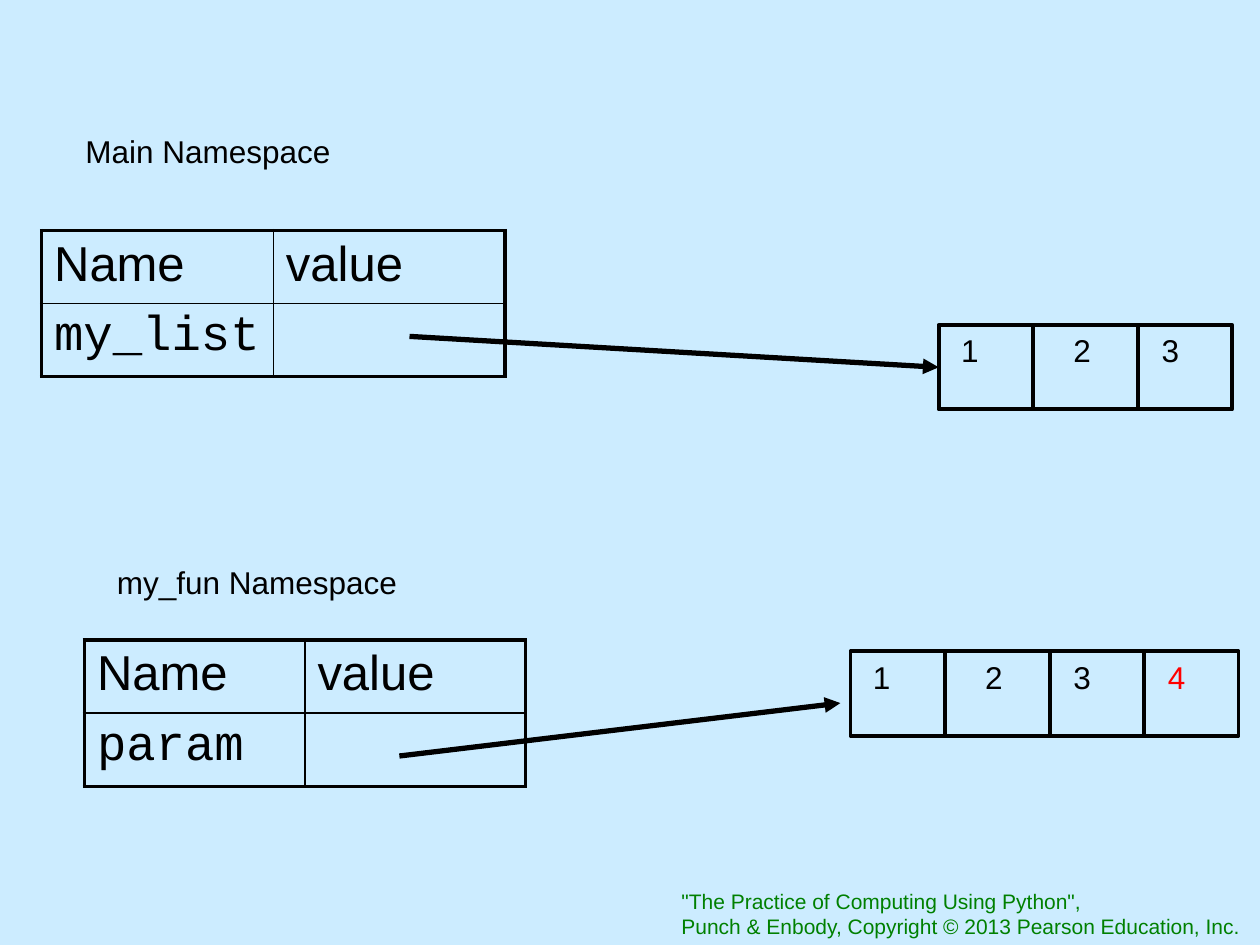
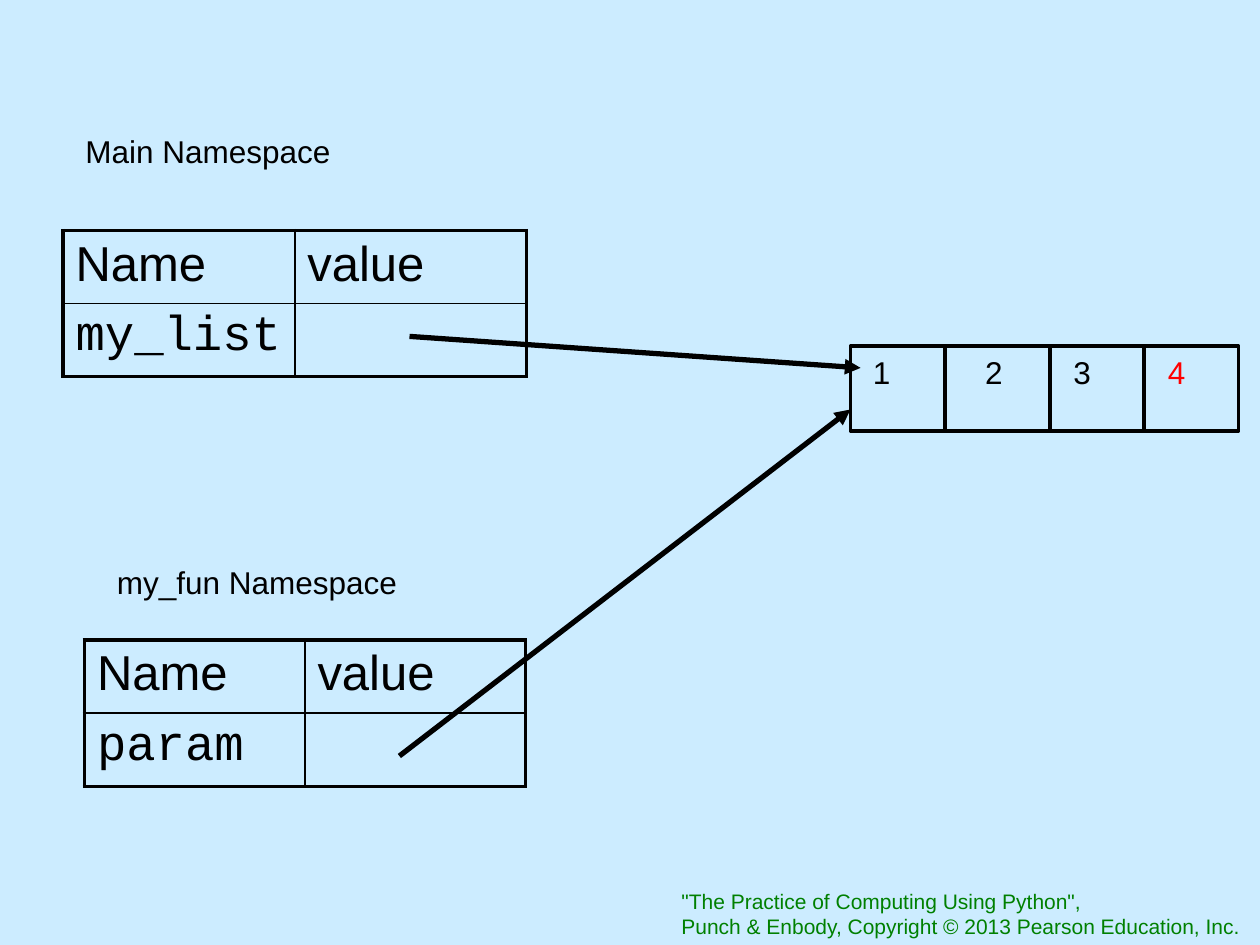
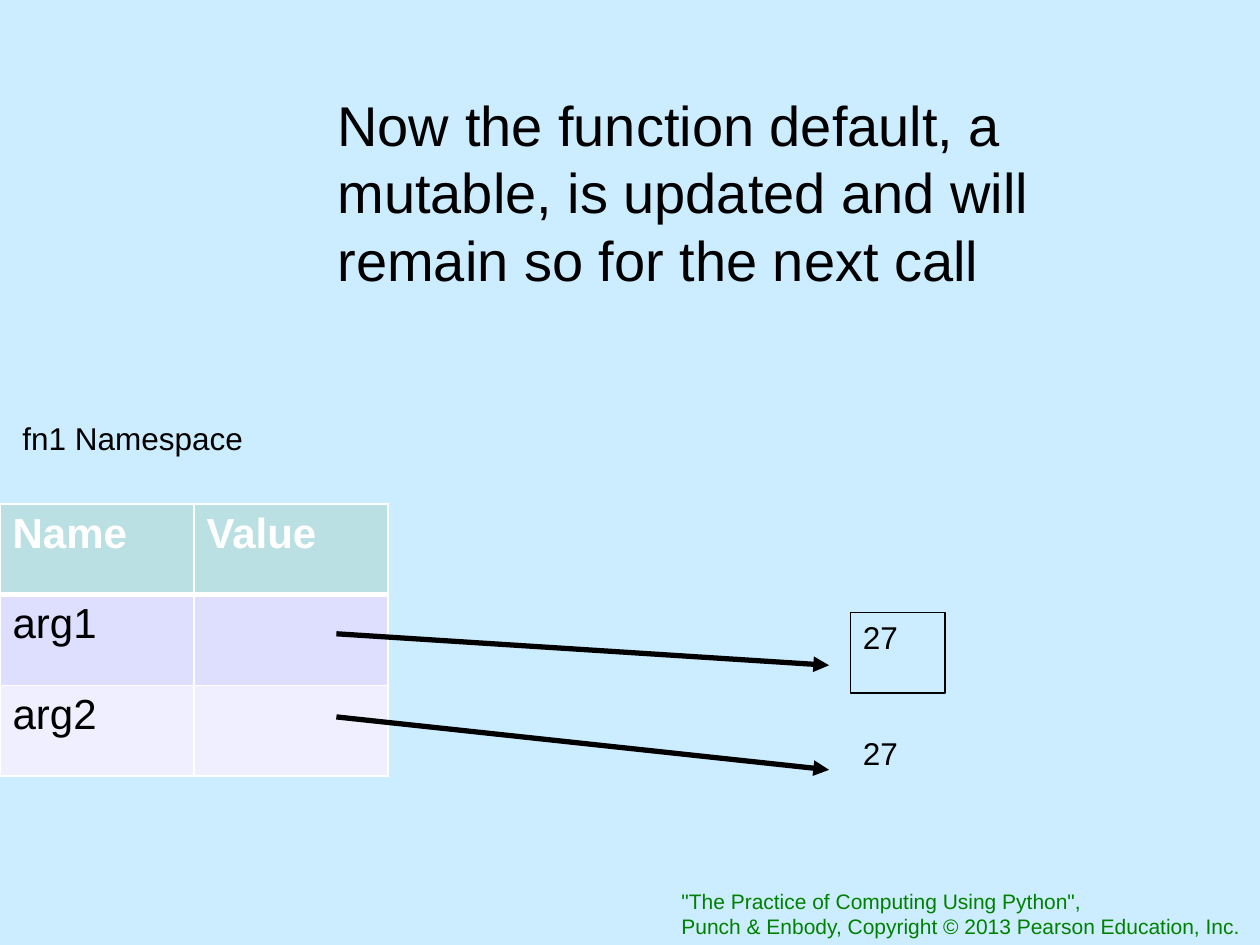
from lxml.etree import SubElement
from pptx import Presentation
from pptx.dml.color import RGBColor
from pptx.enum.shapes import MSO_CONNECTOR, MSO_SHAPE
from pptx.enum.text import MSO_ANCHOR, PP_ALIGN
from pptx.oxml.ns import qn
from pptx.util import Inches, Pt

SKY, BLACK, WHITE, RED, GREEN = "CCECFF", "000000", "FFFFFF", "FF0000", "008000"
HEADER_FILL, ROW_FILLS = "BBE0E3", ("DEDEFF", "EFEFFF")
SANS, MONO = "Arial", "Courier New"

FOOTER = ['"The Practice of Computing Using Python",',
          "Punch & Enbody, Copyright © 2013 Pearson Education, Inc."]

# Offsets from the left end of a list drawing
LIST_EDGES = [0, 0.75, 1.58, 2.33, 3.08]
ITEM_LEFTS = [0.08, 0.97, 1.67, 2.42]
LIST_HEIGHT = 0.67

MAIN_LABEL = ("Main Namespace", 0.58, 1, 3.65)
FUN_LABEL = ("my_fun Namespace", 0.83, 4.42, 2.5)
FUN_TABLE = ("param", 0.67, 5.08, 3.5)

# Namespace: variable, left, top, width. List: items, left, top.
# Arrow: start, end, index of the list it is joined to (or None).
LIST_SLIDES = [
    {"labels": [MAIN_LABEL, FUN_LABEL],
     "namespaces": [("my_list", 0.33, 1.83, 3.68), FUN_TABLE],
     "lists": [("123", 7.45, 2.58), ("1234", 6.75, 5.17)],
     "arrows": [((3.25, 2.67), (7.45, 2.92), 0),
                ((3.17, 6), (6.67, 5.58), None)]},
    {"labels": [MAIN_LABEL, FUN_LABEL],
     "namespaces": [("my_list", 0.5, 1.83, 3.68), FUN_TABLE],
     "lists": [("1234", 6.75, 2.75)],
     "arrows": [((3.25, 2.67), (6.83, 2.92), None),
                ((3.17, 6), (6.75, 3.25), None)]},
]

ARGS = [("Name", "Value"), ("arg1", ""), ("arg2", "")]
ARG_ARROWS = [((2.67, 5.03), (6.58, 5.28)), ((2.67, 5.69), (6.58, 6.11))]
MESSAGE = ("Now the function default, a mutable, is updated "
           "and will remain so for the next call")


def rgb(color):
    return RGBColor.from_string(color)


def write(tf, lines, size=18, color=BLACK, font=SANS, bold=False):
    for i, line in enumerate(lines):
        p = tf.paragraphs[0] if i == 0 else tf.add_paragraph()
        p.alignment = PP_ALIGN.LEFT
        r = p.add_run()
        r.text = line
        r.font.size, r.font.name, r.font.bold = Pt(size), font, bold
        r.font.color.rgb = rgb(color)


def add_text(slide, lines, left, top, width, height, **style):
    sp = slide.shapes.add_textbox(*map(Inches, (left, top, width, height)))
    sp.text_frame.word_wrap = True
    write(sp.text_frame, lines, **style)
    return sp


def add_box(slide, left, top, width, height, line_width):
    sp = slide.shapes.add_shape(MSO_SHAPE.RECTANGLE,
                                *map(Inches, (left, top, width, height)))
    sp.shadow.inherit = False
    sp.fill.background()
    sp.line.color.rgb = rgb(BLACK)
    sp.line.width = Pt(line_width)
    return sp


def add_line(slide, start, end, width):
    line = slide.shapes.add_connector(MSO_CONNECTOR.STRAIGHT,
                                      *map(Inches, start + end))
    line.line.color.rgb = rgb(BLACK)
    line.line.width = Pt(width)
    SubElement(line._element.spPr, qn("a:effectLst"))
    return line


def add_arrow(slide, start, end, target=None):
    arrow = add_line(slide, start, end, 3)
    SubElement(arrow.line._get_or_add_ln(), qn("a:tailEnd"), type="triangle")
    if target is not None:
        arrow.end_connect(target, 1)


def set_borders(cell, color, widths):
    """Widths are in points: left, right, top, bottom."""
    tc_pr = cell._tc.get_or_add_tcPr()
    for side, width in zip("LRTB", widths):
        ln = SubElement(tc_pr, qn(f"a:ln{side}"), w=str(Pt(width)))
        fill = SubElement(ln, qn("a:solidFill"))
        SubElement(fill, qn("a:srgbClr"), val=color)


def add_grid(slide, rows, left, top, width, row_height):
    """Add a table without style and return its cells row by row."""
    frame = slide.shapes.add_table(
        len(rows), len(rows[0]),
        *map(Inches, (left, top, width, row_height * len(rows))))
    table = frame.table
    table.first_row = table.horz_banding = False
    return [[table.cell(i, j) for j in range(len(row))]
            for i, row in enumerate(rows)]


def add_namespace(slide, variable, left, top, width):
    rows = [("Name", "value"), (variable, "")]
    outer, inner = 2.25, 1
    for i, cells in enumerate(add_grid(slide, rows, left, top, width, 0.58)):
        for j, cell in enumerate(cells):
            across = (inner, outer) if j else (outer, inner)
            down = (inner, outer) if i else (outer, inner)
            set_borders(cell, BLACK, across + down)
            cell.fill.background()
            if rows[i][j]:
                write(cell.text_frame, [rows[i][j]], size=28,
                      font=MONO if i else SANS)


def add_arguments(slide):
    for i, cells in enumerate(add_grid(slide, ARGS, 0, 4, 3.08, 0.72)):
        for j, cell in enumerate(cells):
            set_borders(cell, WHITE,
                        (1, 1, 3 if i == 1 else 1, 3 if i == 0 else 1))
            cell.fill.solid()
            cell.fill.fore_color.rgb = rgb(ROW_FILLS[i - 1] if i else HEADER_FILL)
            if ARGS[i][j]:
                write(cell.text_frame, [ARGS[i][j]], size=24,
                      color=BLACK if i else WHITE, bold=i == 0)


def add_list(slide, items, left, top):
    box = add_box(slide, left, top, LIST_EDGES[len(items)], LIST_HEIGHT, 2.25)
    for edge in LIST_EDGES[1:len(items)]:
        x = left + edge
        add_line(slide, (x, top), (x, top + LIST_HEIGHT), 2.25)
    for item, offset in zip(items, ITEM_LEFTS):
        add_text(slide, [item], left + offset, top, 0.45, 0.63,
                 color=RED if item == "4" else BLACK)
    return box


def add_list_slide(slide, content):
    boxes = [add_list(slide, *drawing) for drawing in content["lists"]]
    for namespace in content["namespaces"]:
        add_namespace(slide, *namespace)
    for text, left, top, width in content["labels"]:
        add_text(slide, [text], left, top, width, 0.4)
    for start, end, target in content["arrows"]:
        add_arrow(slide, start, end, None if target is None else boxes[target])


def add_default_slide(slide):
    add_text(slide, ["fn1 Namespace"], 0.08, 3.28, 3.35, 0.64)
    add_arguments(slide)
    box = add_box(slide, 6.75, 4.86, 0.75, 0.64, 0.75)
    box.text_frame.vertical_anchor = MSO_ANCHOR.TOP
    write(box.text_frame, ["27"])
    for start, end in ARG_ARROWS:
        add_arrow(slide, start, end)
    add_text(slide, ["27"], 6.75, 5.78, 0.7, 0.64)
    add_text(slide, [MESSAGE], 2.58, 0.67, 7, 1.72, size=32)


def style_master(master, slide):
    """Set the background and move the footer from the slide to the master."""
    master.background.fill.solid()
    master.background.fill.fore_color.rgb = rgb(SKY)
    footer = add_text(slide, FOOTER, 5.31, 7, 4.68, 0.5, size=12, color=GREEN)
    master.shapes._spTree.append(footer._element)


def main():
    prs = Presentation()
    prs.slide_width, prs.slide_height = Inches(10), Inches(7.5)
    blank = prs.slide_layouts[6]
    slides = [prs.slides.add_slide(blank) for _ in range(3)]
    style_master(prs.slide_master, slides[0])
    for slide, content in zip(slides, LIST_SLIDES):
        add_list_slide(slide, content)
    add_default_slide(slides[-1])
    prs.save("out.pptx")


if __name__ == "__main__":
    main()
